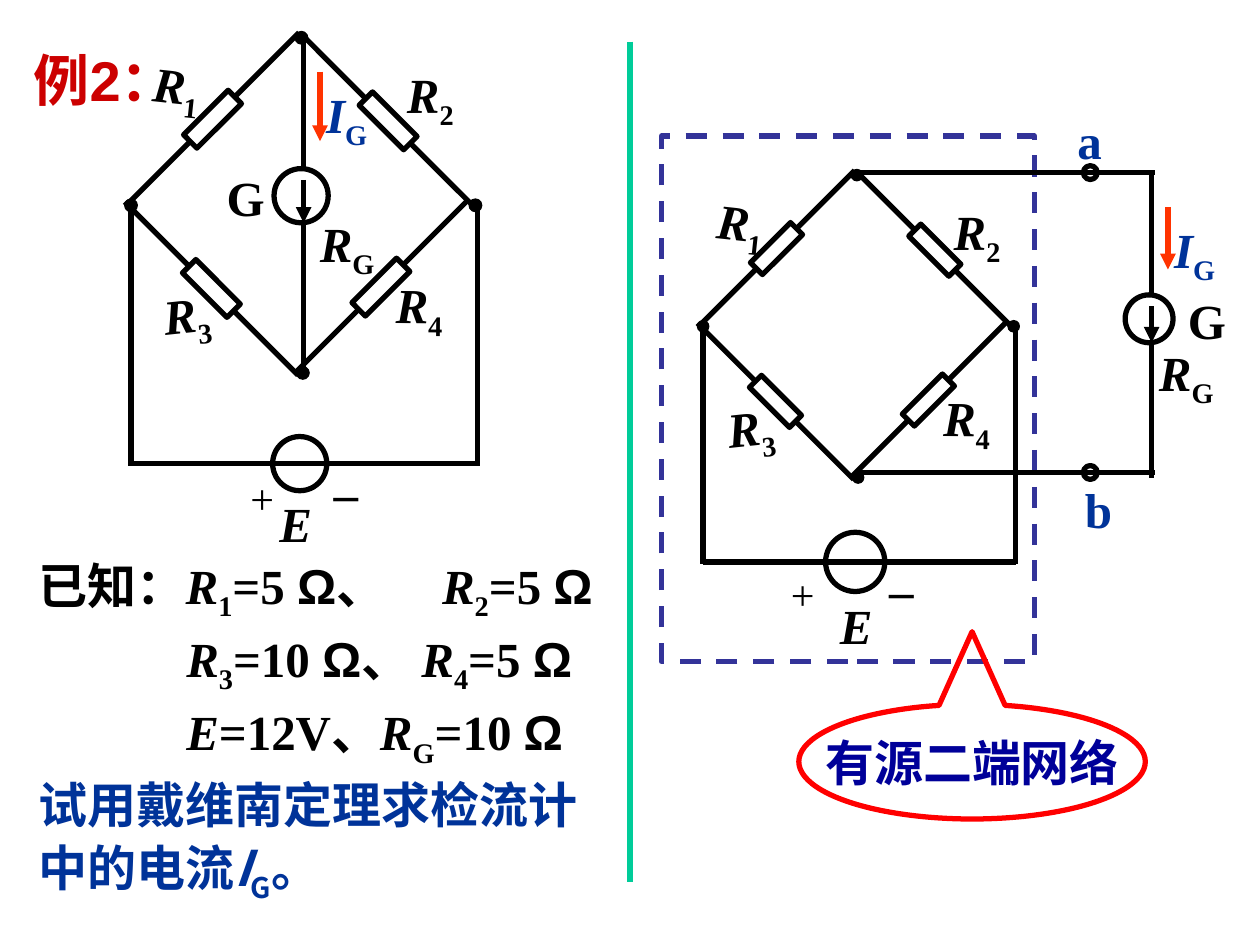
from dataclasses import dataclass
from typing import NamedTuple

from lxml import etree
from pptx import Presentation
from pptx.dml.color import RGBColor
from pptx.enum.dml import MSO_LINE
from pptx.enum.shapes import MSO_CONNECTOR, MSO_SHAPE
from pptx.enum.text import MSO_ANCHOR, PP_ALIGN
from pptx.oxml.ns import qn
from pptx.util import Inches, Pt

STRAIGHT = MSO_CONNECTOR.STRAIGHT
RECT, OVAL = MSO_SHAPE.RECTANGLE, MSO_SHAPE.OVAL
CALLOUT = MSO_SHAPE.OVAL_CALLOUT
DASH = MSO_LINE.DASH
MIDDLE, TOP = MSO_ANCHOR.MIDDLE, MSO_ANCHOR.TOP
CENTER, LEFT = PP_ALIGN.CENTER, PP_ALIGN.LEFT


@dataclass(frozen=True)
class Theme:
    ink: str = "000000"
    title: str = "CC0000"
    blue: str = "003399"
    navy: str = "000099"
    frame: str = "333399"
    divider: str = "00CC99"
    current: str = "FF3300"
    callout: str = "FF0000"
    serif: str = "Times New Roman"
    sans: str = "Arial"
    cjk: str = "Noto Sans CJK SC"
    title_size: int = 32
    body_size: int = 28
    plus_size: int = 24
    stroke: int = 3


THEME = Theme()


class Box(NamedTuple):
    x: float
    y: float
    w: float
    h: float

    def at(self, fx, fy):
        return self.x + fx * self.w, self.y + fy * self.h

    def inches(self):
        return [Inches(value) for value in self]


def around(cx, cy, w, h):
    return Box(cx - w / 2, cy - h / 2, w, h)


def add_run(paragraph, text, color=THEME.ink, font=THEME.serif, size=THEME.body_size,
            bold=True, italic=False, sub=False):
    run = paragraph.add_run()
    run.text = text
    run.font.size, run.font.bold, run.font.italic = Pt(size), bold, italic
    run.font.name = font
    run.font.color.rgb = RGBColor.from_string(color)
    props = run.font._element
    etree.SubElement(props, qn("a:ea")).set("typeface", THEME.cjk)
    if sub:
        props.set("baseline", "-25000")


def add_symbol(paragraph, letter, index="", **style):
    add_run(paragraph, letter, italic=True, **style)
    if index:
        add_run(paragraph, index, sub=True, **style)


def text_frame(slide, box, anchor=TOP):
    frame = slide.shapes.add_textbox(*box.inches()).text_frame
    frame.word_wrap, frame.vertical_anchor = True, anchor
    return frame


def label(slide, x, y, text, index="", rotation=0, italic=True, **style):
    frame = text_frame(slide, Box(x, y, 0.6, 0.6))
    frame.margin_right = 0
    frame._parent.rotation = rotation
    if italic:
        add_symbol(frame.paragraphs[0], text, index, **style)
    else:
        add_run(frame.paragraphs[0], text, **style)


def wire(slide, start, end, color=THEME.ink, arrow=False):
    ends = [Inches(value) for value in (*start, *end)]
    line = slide.shapes.add_connector(STRAIGHT, *ends)
    line.line.color.rgb, line.line.width = RGBColor.from_string(color), Pt(THEME.stroke)
    props = line._element.spPr
    if arrow:
        etree.SubElement(line.line._get_or_add_ln(), qn("a:tailEnd")).set("type", "triangle")
    etree.SubElement(props, qn("a:effectLst"))


def outline(slide, kind, box, color=THEME.ink, width=THEME.stroke, fill=None):
    shape = slide.shapes.add_shape(kind, *box.inches())
    shape.shadow.inherit = False
    shape.line.color.rgb, shape.line.width = RGBColor.from_string(color), Pt(width)
    if fill:
        shape.fill.solid()
        shape.fill.fore_color.rgb = RGBColor.from_string(fill)
    else:
        shape.fill.background()
    return shape


def bridge(slide, box, base, size, dot, label_rise, source, minus, plus, emf):
    """Four resistors in a diamond, fed by a source on the line y = base."""
    resistors = [  # index, centre, direction of slope, label offset, label rotation
        ("1", (0.235, 0.243), -1, (-0.285, -0.18 - label_rise), 6.2),
        ("2", (0.742, 0.248), 1, (0.335, -0.12 - label_rise), -0.3),
        ("3", (0.232, 0.748), 1, (-0.195, 0.23), -6.1),
        ("4", (0.721, 0.744), -1, (0.305, 0.17), 0.5),
    ]
    near, far = size * 0.35, box.w / 4
    for index, place, slope, (dx, dy), tilt in resistors:
        cx, cy = box.at(*place)
        body = outline(slide, RECT, around(cx, cy, size * 0.3, size))
        body.rotation = -45 * slope
        for side in (-1, 1):
            wire(slide, (cx + side * near, cy + side * slope * near),
                 (cx + side * far, cy + side * slope * far))
        label(slide, cx + dx - 0.285, cy + dy - 0.315, "R", index, tilt)

    # Nodes
    for place in ((0, 0.5), (0.994, 0.5), (0.492, 0), (0.496, 1)):
        outline(slide, OVAL, around(*box.at(*place), dot, dot), width=0.75, fill=THEME.ink)

    # Supply loop
    for fx in (0, 1):
        x, middle = box.at(fx, 0.5)
        wire(slide, (x, middle), (x, base + 0.02))
    wire(slide, (box.x + box.w, base), (box.x, base))
    sx = box.at(0.487, 0)[0]
    outline(slide, OVAL, around(sx, base, source, source))
    label(slide, sx + emf[0], base + emf[1], "E")
    label(slide, sx + minus[0], base + minus[1], "–", italic=False)
    label(slide, sx + plus[0], base + plus[1], "+", italic=False, bold=False,
          size=THEME.plus_size)


def galvanometer(slide, x, top, height, size, name_dx, resistance):
    """Vertical branch with meter, current arrow and labels."""
    cx, cy = x - 0.02, top + height * 0.475
    half = size / 2
    wire(slide, (x, cy - half + 0.02), (x, top))
    wire(slide, (x, cy + half + 0.02), (x, top + height))
    outline(slide, OVAL, around(cx, cy, size, size))
    wire(slide, (x, cy - half + 0.09), (x, cy + half), arrow=True)
    start, end = top + height * 0.105, top + height * 0.312
    wire(slide, (x + 0.13, start), (x + 0.13, end), THEME.current, arrow=True)
    label(slide, x + 0.08, start + 0.05, "I", "G", color=THEME.blue)
    label(slide, x + name_dx, cy - 0.27, "G", italic=False)
    label(slide, x + resistance[0], cy + resistance[1], "R", "G")


def terminals(slide, box):
    """Wires from the bridge to terminals a and b."""
    for name, y, dx, dy in (("a", box.y, -0.2, -0.54), ("b", box.y + box.h, -0.14, 0.01)):
        wire(slide, (box.x, y), (box.x + box.w, y))
        cx = box.at(0.78, 0)[0]
        outline(slide, OVAL, around(cx, y, 0.11, 0.11))
        label(slide, cx + dx, y + dy, name, italic=False, color=THEME.blue)


def title(slide, box):
    paragraph = text_frame(slide, box, MIDDLE).paragraphs[0]
    paragraph.alignment = CENTER
    add_run(paragraph, "例2：", THEME.title, THEME.sans, THEME.title_size)


def problem(slide, box):
    """Given values and the question."""
    frame = text_frame(slide, box)
    rows = [  # lead-in, indent, quantities as (letter, index, value, unit, separator)
        ("已知：", 0, [("R", "1", "=5 ", "Ω", "、\t"), ("R", "2", "=5 ", "Ω", "")]),
        ("", 1.17, [("R", "3", "=10 ", "Ω", "、 "), ("R", "4", "=5 ", "Ω", "")]),
        ("", 1.17, [("E", "", "=12V", "", "、"), ("R", "G", "=10 ", "Ω", "")]),
    ]
    paragraphs = [frame.paragraphs[0]] + [frame.add_paragraph() for _ in rows]
    for number, paragraph in enumerate(paragraphs):
        paragraph.alignment, paragraph.line_spacing = LEFT, 1.05
        paragraph.space_before = Pt(1.8 if number else 0)
    for paragraph, (lead, indent, quantities) in zip(paragraphs, rows):
        props = paragraph._p.get_or_add_pPr()
        props.set("marL", str(Inches(indent)))
        if not indent:
            stop = etree.SubElement(etree.SubElement(props, qn("a:tabLst")), qn("a:tab"))
            stop.set("pos", str(Inches(3.2)))
            stop.set("algn", "l")
        if lead:
            add_run(paragraph, lead)
        for letter, index, value, unit, separator in quantities:
            add_symbol(paragraph, letter, index)
            add_run(paragraph, value)
            if unit:
                add_run(paragraph, unit, font=THEME.sans)
            if separator:
                add_run(paragraph, separator)
    question = paragraphs[-1]
    style = {"color": THEME.blue, "font": THEME.cjk}
    add_run(question, "试用戴维南定理求检流计中的电流", **style)
    add_symbol(question, "I", "G", **style)
    add_run(question, "。", **style)


def network_frame(slide, frame_box, callout_box):
    """Dashed border of the two-terminal network and its callout."""
    outline(slide, RECT, frame_box, THEME.frame).line.dash_style = DASH
    callout = outline(slide, CALLOUT, callout_box, THEME.callout)
    callout.adjustments[0], callout.adjustments[1] = 0, -1.134
    callout.text_frame.word_wrap = False
    callout.text_frame.vertical_anchor = MIDDLE
    paragraph = callout.text_frame.paragraphs[0]
    paragraph.alignment = CENTER
    add_run(paragraph, "有源二端网络", THEME.navy)


def main():
    deck = Presentation()
    deck.slide_width, deck.slide_height = Inches(10), Inches(7.5)
    slide = deck.slides.add_slide(deck.slide_layouts[6])
    title(slide, Box(0, 0.25, 1.67, 0.75))
    problem(slide, Box(0.21, 4.33, 4.79, 2.9))
    wire(slide, (5, 0.33), (5, 7), THEME.divider)
    network_frame(slide, Box(5.25, 1.08, 2.96, 4.17), Box(6.34, 5.59, 2.75, 0.91))
    # Full circuit
    bridge(slide, Box(1.04, 0.3, 2.75, 2.66), 3.68, 0.5, 0.1, 0.06, source=0.43,
           minus=(0.17, -0.06), plus=(-0.49, 0.02), emf=(-0.26, 0.19))
    galvanometer(slide, 2.41, 0.29, 2.66, 0.43, -0.71, (0.03, 0.09))
    # Circuit split at the terminals
    bridge(slide, Box(5.58, 1.39, 2.48, 2.4), 4.46, 0.45, 0.09, 0, source=0.47,
           minus=(0.17, -0.07), plus=(-0.61, 0), emf=(-0.22, 0.22))
    galvanometer(slide, 9.14, 1.39, 2.4, 0.38, 0.19, (-0.04, 0.14))
    terminals(slide, Box(6.82, 1.37, 2.35, 2.38))
    deck.save("out.pptx")


if __name__ == "__main__":
    main()
